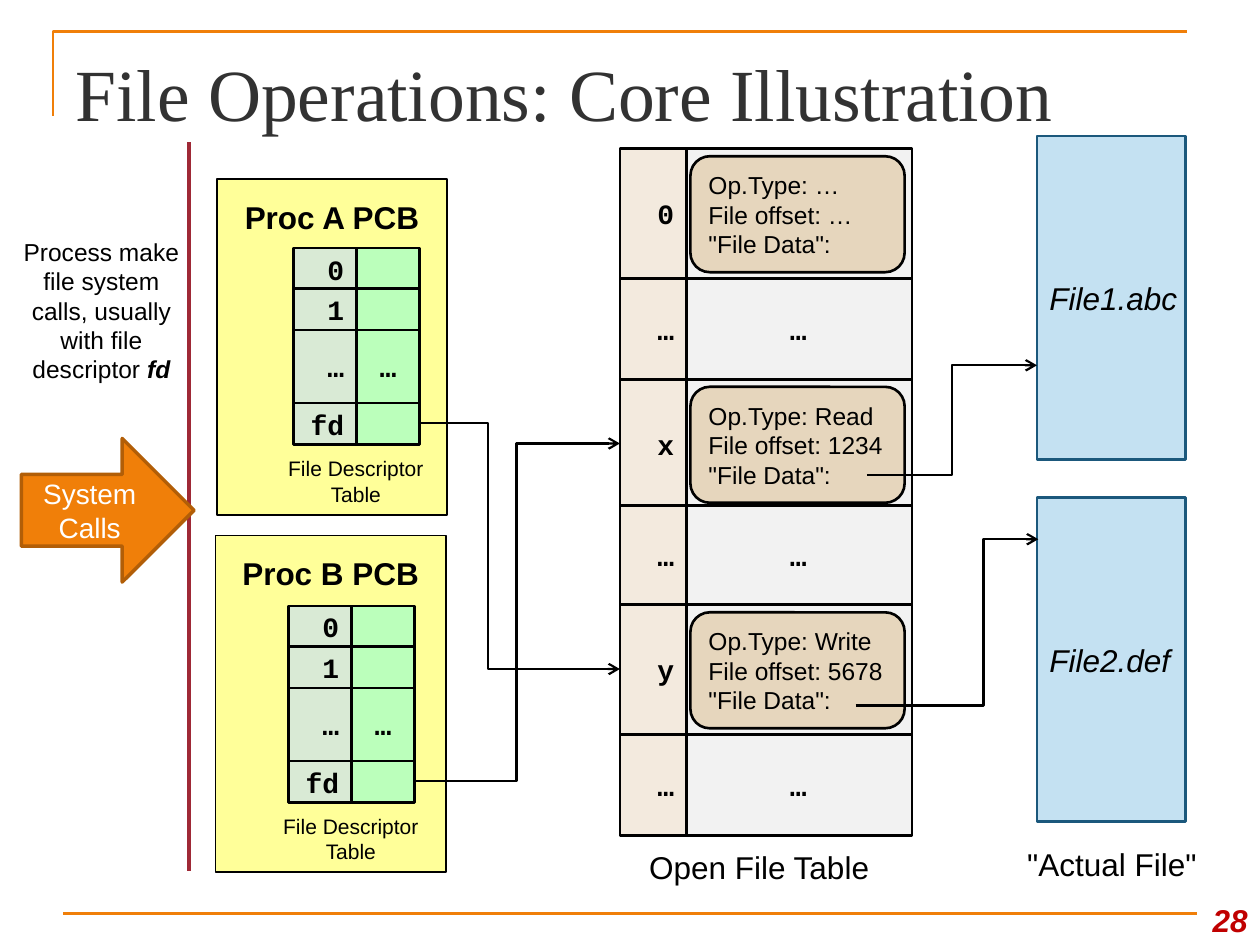
from lxml import etree
from pptx import Presentation
from pptx import util as u
from pptx.dml import color
from pptx.enum import shapes, text
from pptx.oxml import ns

Inches, Pt, RGB = u.Inches, u.Pt, color.RGBColor.from_string
MSO, CON = shapes.MSO_SHAPE, shapes.MSO_CONNECTOR
AL, ANC = text.PP_ALIGN, text.MSO_ANCHOR
COLORS = {
    "black": "000000", "white": "FFFFFF", "title": "323232",
    "orange": "F07F09", "brown": "B25E07", "red": "9F2936", "number": "C00000",
    "pcb": "FFFF99", "fd_index": "D9EAD5", "fd_entry": "BBFFBB",
    "index": "F3EADE", "entry": "F2F2F2", "bubble": "E6D6BD",
    "file": "C4E1F2", "file_line": "1B587C",
}

prs = Presentation()
prs.slide_width, prs.slide_height = Inches(10), Inches(7.5)
s = prs.slides.add_slide(prs.slide_layouts[5])


def add_box(parent, kind, at, fill=None, line="black", width=1.5, lines=(), size=14,
            font="Arial", ink="black", style="", align=AL.CENTER, anchor=ANC.MIDDLE, wrap=False):
    at = [Inches(v) for v in at]
    if kind is None:
        sp = parent.add_textbox(*at)
    else:
        sp = parent.add_shape(kind, *at)
        sp.shadow.inherit = False
        sp.fill.solid()
        sp.fill.fore_color.rgb = RGB(COLORS[fill])
        sp.line.color.rgb = RGB(COLORS[line])
        sp.line.width = Pt(width)
    tf = sp.text_frame
    tf.word_wrap, tf.vertical_anchor = wrap, anchor
    for i, runs in enumerate(lines):
        p = tf.paragraphs[0] if i == 0 else tf.add_paragraph()
        p.alignment = align
        for words, run_style in [(runs, style)] if isinstance(runs, str) else runs:
            r = p.add_run()
            r.text = words
            r.font.size, r.font.name = Pt(size), font
            r.font.color.rgb = RGB(COLORS[ink])
            r.font.bold, r.font.italic = "b" in run_style, "i" in run_style
    return sp


def add_line(start, end, ink, width, bend=None):
    kind = CON.STRAIGHT if bend is None else CON.ELBOW
    c = s.shapes.add_connector(kind, *[Inches(v) for v in (*start, *end)])
    c.line.color.rgb = RGB(COLORS[ink])
    c.line.width = Pt(width)
    sp_pr = c._element.spPr
    if bend is not None:
        guides = sp_pr.find(ns.qn("a:prstGeom")).get_or_add_avLst()
        etree.SubElement(guides, ns.qn("a:gd"), name="adj1", fmla=f"val {round(bend * 100000)}")
        etree.SubElement(sp_pr.find(ns.qn("a:ln")), ns.qn("a:tailEnd"), type="arrow")
    etree.SubElement(sp_pr, ns.qn("a:effectLst"))


corner = s.shapes.build_freeform(Inches(0.42), Inches(0.92))
corner.add_line_segments([(Inches(0.42), Inches(0.25)), (Inches(9.42), Inches(0.25))], close=False)
sp = corner.convert_to_shape()
sp.shadow.inherit = False
sp.fill.background()
sp.line.color.rgb = RGB(COLORS["orange"])
sp.line.width = Pt(1.5)
add_line((0.5, 7.25), (9.5, 7.25), "orange", 1.5)

title = s.shapes.title
title.left, title.top, title.width, title.height = [Inches(v) for v in (0.5, 0.3, 9, 0.78)]
tf = title.text_frame
tf.vertical_anchor, tf.margin_bottom = ANC.BOTTOM, 0
p = tf.paragraphs[0]
p.alignment = AL.LEFT
r = p.add_run()
r.text = "File Operations: Core Illustration"
r.font.size, r.font.name = Pt(42), "Times New Roman"
r.font.color.rgb = RGB(COLORS["title"])

mono = dict(size=16, font="Courier New", style="b")
fd_rows = [("0", "", 0, 0.33), ("1", "", 0.32, 0.33), ("…", "…", 0.65, 0.58), ("fd", "", 1.23, 0.33)]
processes = [("Proc A PCB", 1.72, 1.42, 2.33, 1.97), ("Proc B PCB", 1.71, 4.25, 2.29, 4.81)]
for name, x, y, table_x, table_y in processes:
    sp = add_box(s.shapes, MSO.RECTANGLE, (x, y, 1.83, 2.67), "pcb", width=1,
                 lines=[name], size=18, style="b", anchor=ANC.TOP)
    sp.text_frame.margin_top = Inches(0.15)
    fd_table = s.shapes.add_group_shape().shapes
    for index, entry, dy, h in fd_rows:
        add_box(fd_table, MSO.RECTANGLE, (table_x + 0.5, table_y + dy, 0.5, h), "fd_entry",
                lines=[entry] if entry else [], **mono)
        add_box(fd_table, MSO.RECTANGLE, (table_x, table_y + dy, 0.5, h), "fd_index",
                lines=[index], align=AL.RIGHT, **mono)
    add_box(s.shapes, None, (table_x - 0.17, table_y + 1.6, 1.33, 0.5),
            lines=["File Descriptor", "Table"], size=12, anchor=ANC.TOP, wrap=True)

open_files = [
    ("0", 1.18, 1.03, ("…", "…")), ("…", 2.21, 0.8, None),
    ("x", 3.01, 1.03, ("Read", "1234")), ("…", 4.01, 0.8, None),
    ("y", 4.8, 1.03, ("Write", "5678")), ("…", 5.83, 0.8, None),
]
for index, y, h, details in open_files:
    add_box(s.shapes, MSO.RECTANGLE, (5.43, y, 1.81, h), "entry",
            lines=[] if details else ["…"], **mono)
    add_box(s.shapes, MSO.RECTANGLE, (4.92, y, 0.53, h), "index",
            lines=[index], align=AL.RIGHT, **mono)
    if details:
        op, offset = details
        add_box(s.shapes, MSO.ROUNDED_RECTANGLE, (5.48, y + 0.06, 1.7, 0.92), "bubble",
                lines=[f"Op.Type: {op}", f"File offset: {offset}", '"File Data":'], align=AL.LEFT)

for name, y in [("File1.abc", 1.08), ("File2.def", 3.95)]:
    add_box(s.shapes, MSO.RECTANGLE, (8.23, y, 1.18, 2.57), "file", "file_line",
            lines=[name], size=18, style="i", align=AL.LEFT)
for caption, x, y in [("Open File Table", 4.88, 6.68), ('"Actual File"', 7.68, 6.66)]:
    add_box(s.shapes, None, (x, y, 2.29, 0.4), lines=[caption], size=18, anchor=ANC.TOP, wrap=True)

add_line((1.5, 1.13), (1.5, 6.91), "red", 2.25)
add_box(s.shapes, MSO.RIGHT_ARROW, (0.17, 3.48, 1.37, 1.14), "orange", "brown", 2,
        lines=["System Calls"], size=16, ink="white", wrap=True)
add_box(s.shapes, None, (0.06, 1.83, 1.49, 1.28), anchor=ANC.TOP, wrap=True,
        lines=[[("Process make file system calls, usually with file descriptor ", ""), ("fd", "bi")]])

links = [
    ((3.33, 3.36), (4.92, 5.31), 0.34), ((3.28, 6.2), (4.92, 3.52), 0.5),
    ((6.88, 3.77), (8.23, 2.9), 0.5), ((6.79, 5.6), (8.24, 4.28), 0.7),
]
for start, end, bend in links:
    add_line(start, end, "black", 1.25, bend)

add_box(s.shapes, None, (9.42, 7, 0.58, 0.5), lines=["28"], size=18, ink="number", style="bi",
        align=AL.RIGHT, anchor=ANC.BOTTOM, wrap=True)

prs.save("out.pptx")
